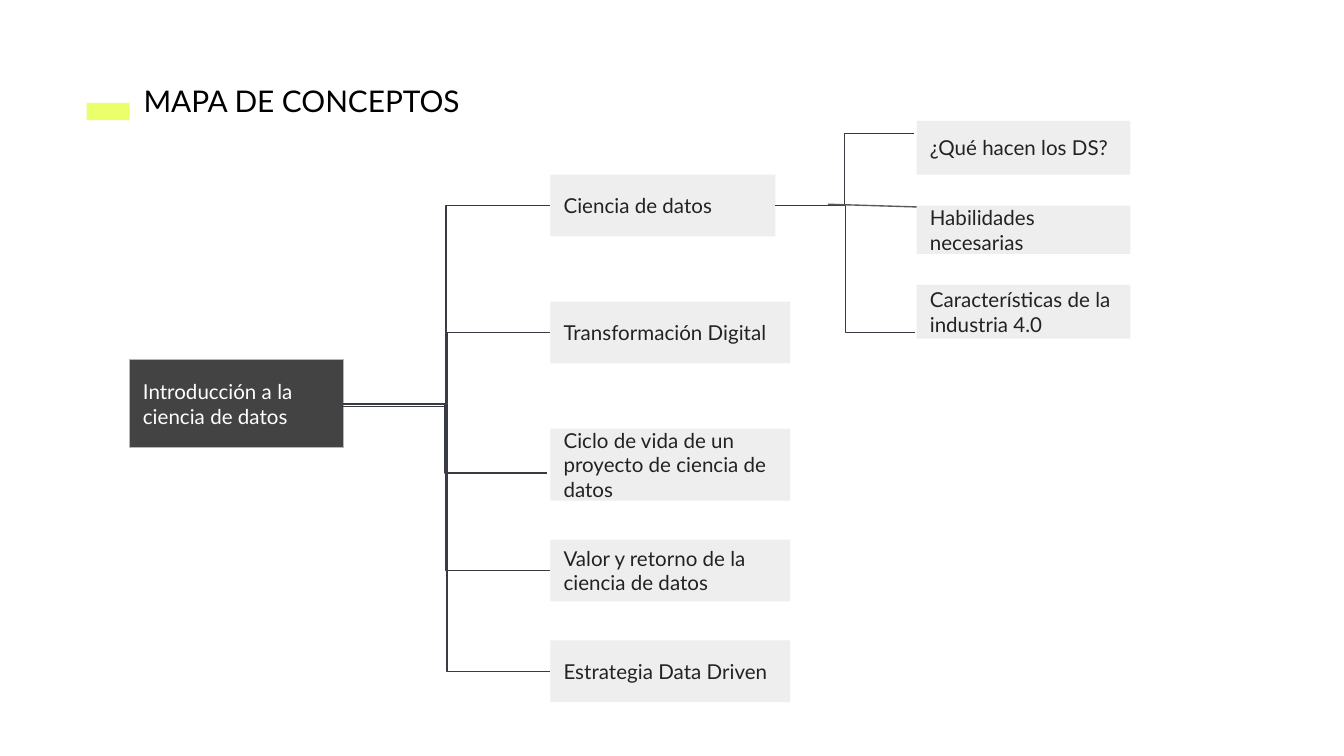
from dataclasses import dataclass
from typing import NamedTuple, Optional

from lxml.etree import SubElement
from pptx import Presentation
from pptx.dml.color import RGBColor
from pptx.enum.shapes import MSO_CONNECTOR, MSO_SHAPE
from pptx.enum.text import MSO_ANCHOR, MSO_AUTO_SIZE, PP_ALIGN
from pptx.oxml.ns import qn
from pptx.shapes.autoshape import Shape
from pptx.slide import Slide
from pptx.text.text import TextFrame
from pptx.util import Emu, Pt

EMU_PER_PX = 4572


def px(length: int) -> Emu:
    return Emu(length * EMU_PER_PX)


@dataclass(frozen=True)
class Theme:
    font: str = "Lato"
    title_size: int = 16
    node_size: int = 11
    line_width: float = 0.75
    title: str = "000000"
    accent: str = "EAFF6A"
    root_fill: str = "434343"
    root_border: str = "B7B7B7"
    root_text: str = "FFFFFF"
    node_fill: str = "EEEEEE"
    node_text: str = "222222"
    elbow: str = "393B43"
    straight: str = "595959"


THEME = Theme()


class Box(NamedTuple):
    left: int
    top: int
    width: int
    height: int


@dataclass(frozen=True)
class Node:
    text: str
    box: Box
    fill: str = THEME.node_fill
    color: str = THEME.node_text
    border: Optional[str] = None


@dataclass(frozen=True)
class Link:
    start: tuple[int, int]
    end: tuple[int, int]
    kind: MSO_CONNECTOR = MSO_CONNECTOR.ELBOW
    color: str = THEME.elbow
    single_bend: bool = False


TOPIC_LEFT, TOPIC_WIDTH, TOPIC_HEIGHT = 819, 357, 92
DETAIL_LEFT, DETAIL_WIDTH = 1364, 318
ROOT_RIGHT, ROOT_MIDDLE = 511, 601
SCIENCE_RIGHT, SCIENCE_MIDDLE = 1154, 306


def topic(text: str, top: int, width: int = TOPIC_WIDTH, height: int = TOPIC_HEIGHT) -> Node:
    return Node(text, Box(TOPIC_LEFT, top, width, height))


def detail(text: str, top: int, height: int) -> Node:
    return Node(text, Box(DETAIL_LEFT, top, DETAIL_WIDTH, height))


NODES = [
    Node("Introducción a la ciencia de datos", Box(193, 535, 318, 131),
         THEME.root_fill, THEME.root_text, THEME.root_border),
    topic("Ciencia de datos", 260, width=335),
    topic("Transformación Digital", 449),
    topic("Ciclo de vida de un proyecto de ciencia de datos", 638, height=107),
    topic("Valor y retorno de la ciencia de datos", 803),
    topic("Estrategia Data Driven", 953),
    detail("¿Qué hacen los DS?", 180, 80),
    detail("Habilidades necesarias", 306, 72),
    detail("Características de la industria 4.0", 424, 80),
]

LINKS = [
    Link((508, 605), (TOPIC_LEFT, SCIENCE_MIDDLE)),
    Link((ROOT_RIGHT, ROOT_MIDDLE), (814, 704)),
    Link((TOPIC_LEFT, 849), (664, ROOT_MIDDLE), single_bend=True),
    Link((ROOT_RIGHT, ROOT_MIDDLE), (TOPIC_LEFT, 495)),
    Link((ROOT_RIGHT, ROOT_MIDDLE), (TOPIC_LEFT, 999)),
    Link((SCIENCE_RIGHT, SCIENCE_MIDDLE), (1360, 199)),
    Link((SCIENCE_RIGHT, SCIENCE_MIDDLE), (1362, 495)),
    Link((1232, 304), (DETAIL_LEFT, 308), MSO_CONNECTOR.STRAIGHT, THEME.straight),
]


def write_text(frame: TextFrame, text: str, size: int, color: str) -> None:
    frame.word_wrap = True
    frame.margin_left = frame.margin_right = px(20)
    frame.margin_top = frame.margin_bottom = px(20)
    paragraph = frame.paragraphs[0]
    paragraph.text = text
    paragraph.alignment = PP_ALIGN.LEFT
    paragraph.font.name = THEME.font
    paragraph.font.size = Pt(size)
    paragraph.font.color.rgb = RGBColor.from_string(color)


def draw_rectangle(slide: Slide, box: Box, fill: str, border: Optional[str] = None) -> Shape:
    shape = slide.shapes.add_shape(MSO_SHAPE.RECTANGLE, *map(px, box))
    shape.shadow.inherit = False
    shape.fill.solid()
    shape.fill.fore_color.rgb = RGBColor.from_string(fill)
    if border:
        shape.line.color.rgb = RGBColor.from_string(border)
        shape.line.width = Pt(THEME.line_width)
    else:
        shape.line.fill.background()
    return shape


def draw_title(slide: Slide, text: str, box: Box) -> None:
    text_box = slide.shapes.add_textbox(*map(px, box))
    write_text(text_box.text_frame, text, THEME.title_size, THEME.title)
    text_box.text_frame.auto_size = MSO_AUTO_SIZE.SHAPE_TO_FIT_TEXT


def draw_node(slide: Slide, node: Node) -> None:
    shape = draw_rectangle(slide, node.box, node.fill, node.border)
    shape.text_frame.vertical_anchor = MSO_ANCHOR.MIDDLE
    write_text(shape.text_frame, node.text, THEME.node_size, node.color)


def draw_link(slide: Slide, link: Link) -> None:
    connector = slide.shapes.add_connector(link.kind, *map(px, link.start + link.end))
    connector.line.color.rgb = RGBColor.from_string(link.color)
    connector.line.width = Pt(THEME.line_width)
    properties = connector._element.spPr
    SubElement(properties, qn("a:effectLst"))
    if link.single_bend:
        properties.find(qn("a:prstGeom")).set("prst", "bentConnector2")


def main() -> None:
    presentation = Presentation()
    presentation.slide_width = px(2000)
    presentation.slide_height = px(1125)
    slide = presentation.slides.add_slide(presentation.slide_layouts[6])
    draw_rectangle(slide, Box(129, 153, 64, 26), THEME.accent)
    draw_title(slide, "MAPA DE CONCEPTOS", Box(194, 103, 538, 94))
    for node in NODES:
        draw_node(slide, node)
    for link in LINKS:
        draw_link(slide, link)
    presentation.save("out.pptx")


if __name__ == "__main__":
    main()
